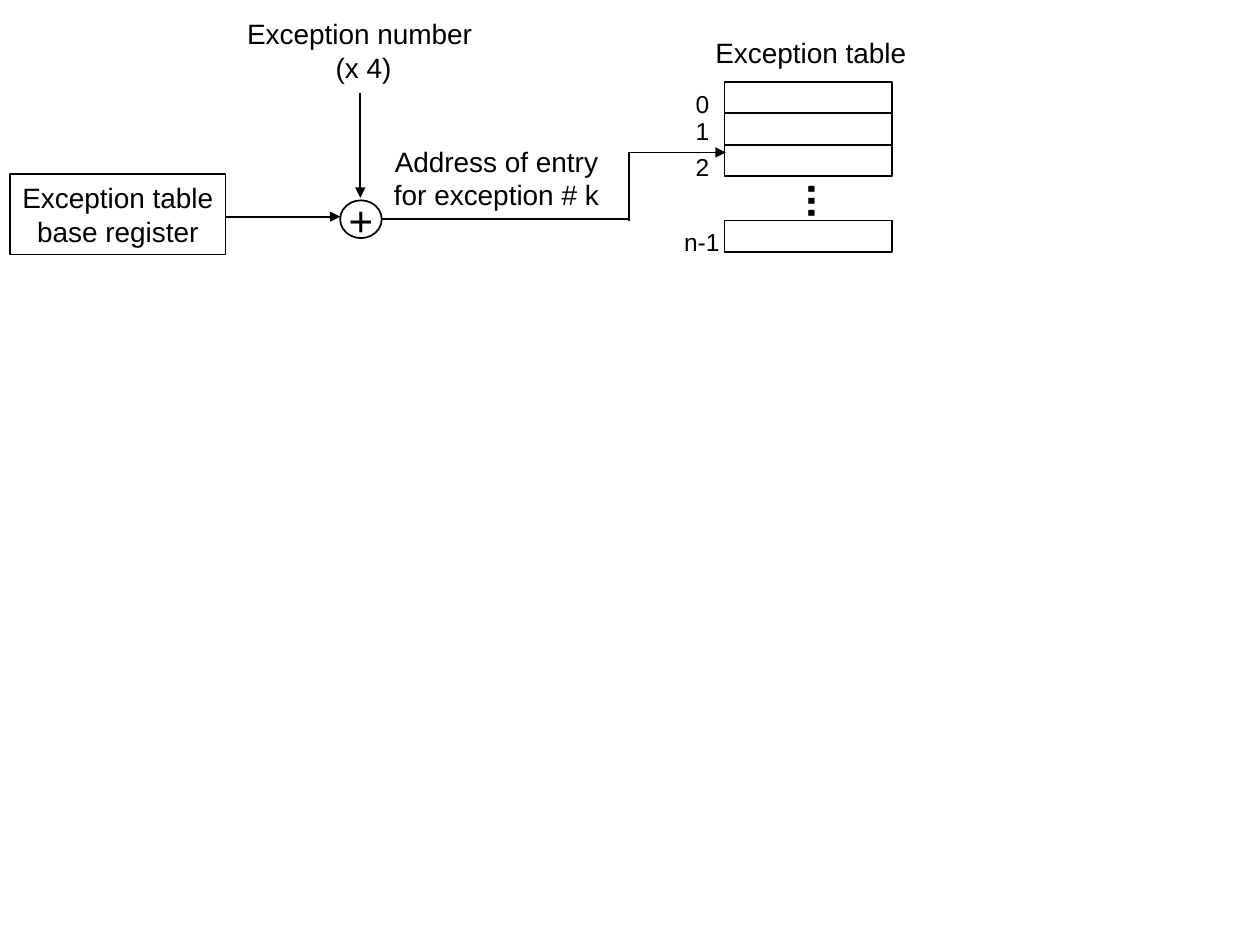
from lxml.etree import SubElement
from pptx import Presentation
from pptx.dml.color import RGBColor
from pptx.enum.shapes import MSO_CONNECTOR, MSO_SHAPE
from pptx.enum.text import MSO_ANCHOR, MSO_AUTO_SIZE, PP_ALIGN
from pptx.oxml.ns import qn
from pptx.util import Inches, Pt


def color(hex_string):
    return RGBColor.from_string(hex_string)


def write_text(shape, text, size=16, bold=False, anchor=MSO_ANCHOR.MIDDLE,
               grow=True, margins=(0.08, 0.05), vertical=False,
               font_name="Arial", font_color="000000"):
    frame = shape.text_frame
    frame.text = text
    frame.word_wrap = False
    frame.auto_size = MSO_AUTO_SIZE.SHAPE_TO_FIT_TEXT if grow else MSO_AUTO_SIZE.NONE
    frame.vertical_anchor = anchor
    frame.margin_left = frame.margin_right = Inches(margins[0])
    frame.margin_top = frame.margin_bottom = Inches(margins[1])
    if vertical:
        shape.element.txBody.bodyPr.set("vert", "eaVert")
    for paragraph in frame.paragraphs:
        paragraph.alignment = PP_ALIGN.CENTER
        for run in paragraph.runs:
            run.font.name = font_name
            run.font.size = Pt(size)
            run.font.bold = bold
            run.font.color.rgb = color(font_color)


class Diagram:
    line_color = "000000"
    fill_color = "FFFFFF"
    line_width = 1

    def __init__(self, slide):
        self.slide = slide

    def style_line(self, line):
        line.color.rgb = color(self.line_color)
        line.width = Pt(self.line_width)

    def label(self, text, left, top, width, height, **text_format):
        shape = self.slide.shapes.add_textbox(
            Inches(left), Inches(top), Inches(width), Inches(height))
        write_text(shape, text, **text_format)

    def box(self, left, top, width, height, text="", kind=MSO_SHAPE.RECTANGLE,
            **text_format):
        shape = self.slide.shapes.add_shape(
            kind, Inches(left), Inches(top), Inches(width), Inches(height))
        shape.shadow.inherit = False
        shape.fill.solid()
        shape.fill.fore_color.rgb = color(self.fill_color)
        self.style_line(shape.line)
        if text:
            write_text(shape, text, **text_format)

    def line(self, start, end, arrow=False):
        connector = self.slide.shapes.add_connector(
            MSO_CONNECTOR.STRAIGHT, Inches(start[0]), Inches(start[1]),
            Inches(end[0]), Inches(end[1]))
        self.style_line(connector.line)
        if arrow:
            SubElement(connector.line._get_or_add_ln(), qn("a:tailEnd"), type="triangle")
        SubElement(connector.element.spPr, qn("a:effectLst"))


def main():
    presentation = Presentation()
    presentation.slide_width = Inches(10)
    presentation.slide_height = Inches(7.5)
    slide = presentation.slides.add_slide(presentation.slide_layouts[6])
    diagram = Diagram(slide)

    diagram.label("Exception table", 5.58, 0.23, 1.71, 0.36, anchor=MSO_ANCHOR.TOP)
    for entry_top in (0.65, 0.9, 1.15, 1.75):
        diagram.box(5.75, entry_top, 1.33, 0.25)
    for index, top in (("0", 0.65), ("1", 0.87), ("2", 1.15)):
        diagram.label(index, 5.42, top, 0.31, 0.34, size=14)
    diagram.label("n-1", 5.33, 1.75, 0.48, 0.34, size=14)
    diagram.label("...", 6.25, 1.36, 0.6, 0.38, size=24, bold=True,
                  margins=(0.05, 0.1), vertical=True)

    diagram.label("Exception number \n(x 4)", 1.86, 0.08, 2.05, 0.64)
    diagram.label("Address of entry\nfor exception # k", 3.03, 1.09, 1.82, 0.64)
    diagram.box(0.08, 1.38, 1.71, 0.64, "Exception table\nbase register")
    diagram.box(2.7, 1.59, 0.33, 0.3, "+", MSO_SHAPE.OVAL, size=24, grow=False)

    diagram.line((1.79, 1.72), (2.7, 1.72), arrow=True)
    diagram.line((2.86, 0.74), (2.86, 1.57), arrow=True)
    diagram.line((3.03, 1.74), (4.99, 1.74))
    diagram.line((4.99, 1.21), (4.99, 1.75))
    diagram.line((4.99, 1.21), (5.76, 1.21), arrow=True)

    presentation.save("out.pptx")


if __name__ == "__main__":
    main()
